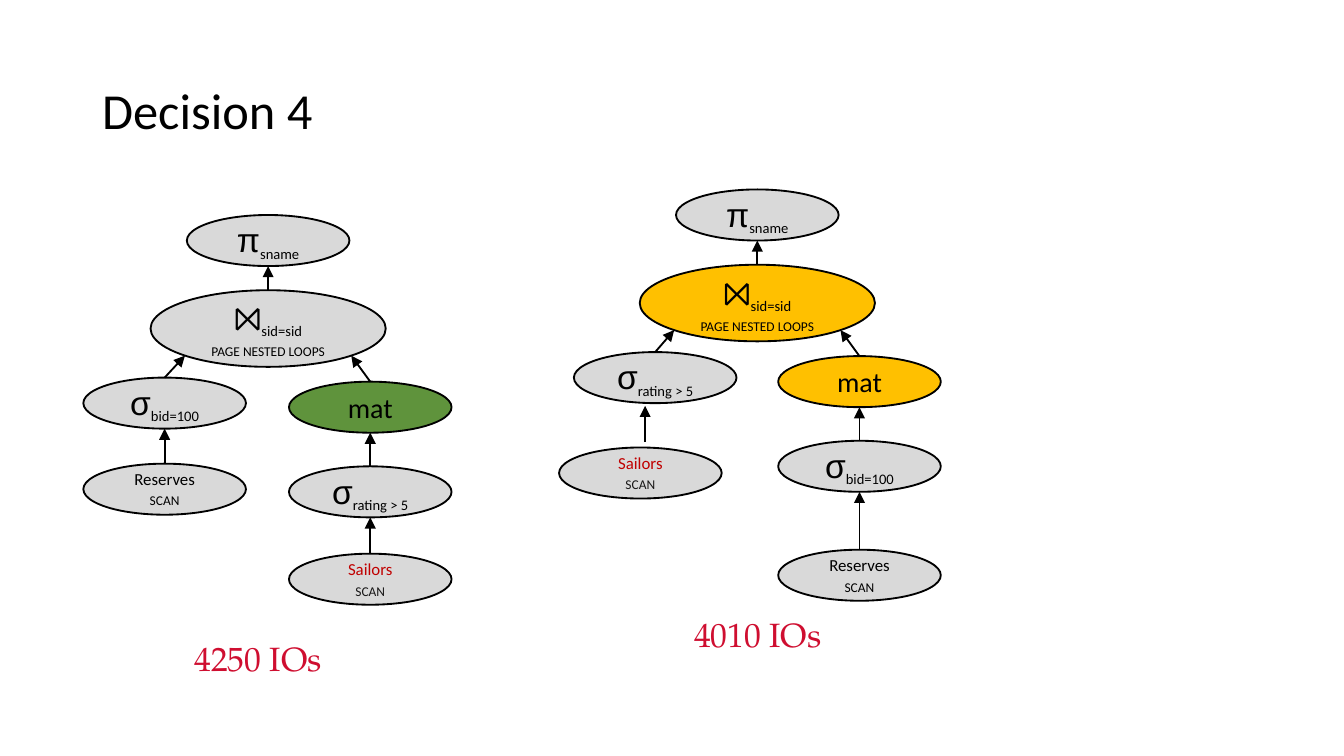
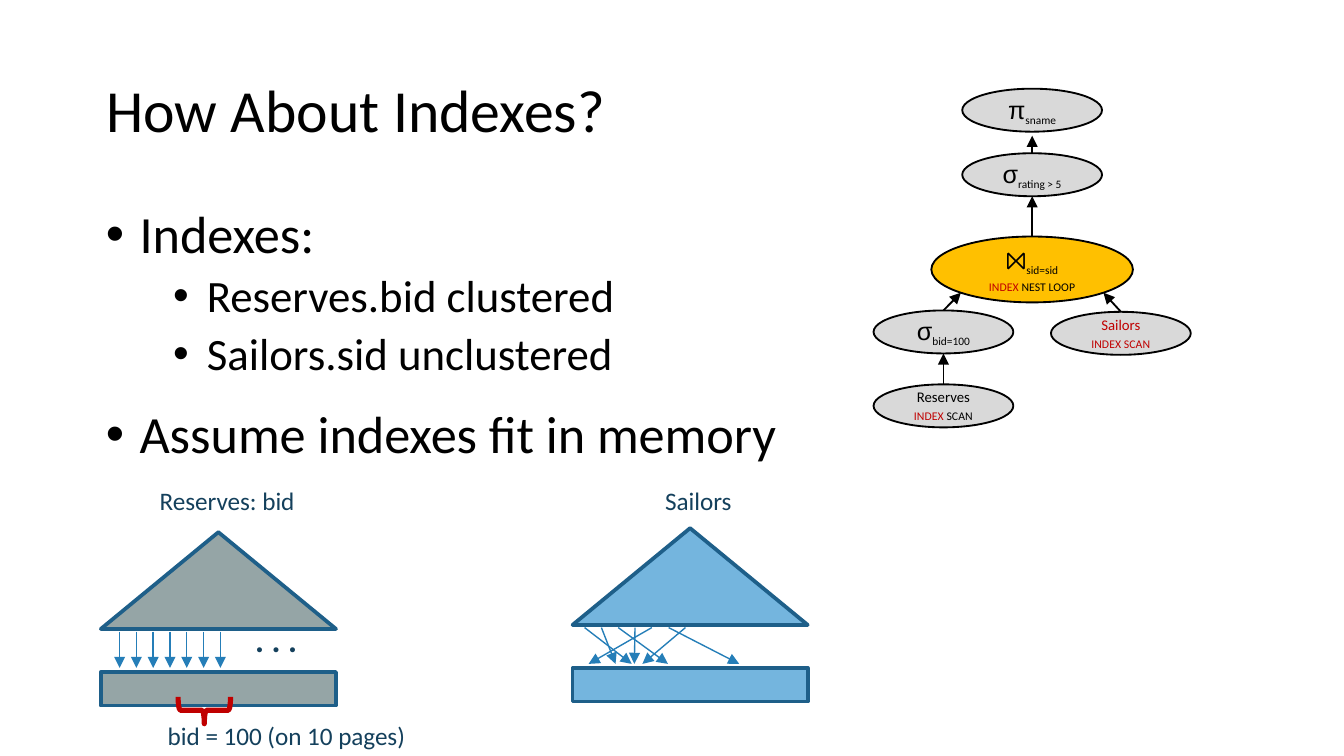
from dataclasses import dataclass

from lxml import etree
from pptx import Presentation
from pptx.dml.color import RGBColor
from pptx.enum.shapes import MSO_CONNECTOR, MSO_SHAPE
from pptx.enum.text import MSO_ANCHOR, MSO_AUTO_SIZE, PP_ALIGN
from pptx.oxml.ns import qn
from pptx.util import Inches, Pt

STRAIGHT = MSO_CONNECTOR.STRAIGHT
ELLIPSE = MSO_SHAPE.OVAL
TRIANGLE = MSO_SHAPE.ISOSCELES_TRIANGLE
RECTANGLE = MSO_SHAPE.RECTANGLE
LEFT_BRACE = MSO_SHAPE.LEFT_BRACE
TOP, MIDDLE = MSO_ANCHOR.TOP, MSO_ANCHOR.MIDDLE
LEFT, CENTER = PP_ALIGN.LEFT, PP_ALIGN.CENTER
NO_AUTOFIT = MSO_AUTO_SIZE.NONE

COLORS = {
    "black": "000000",
    "ink": "181717",
    "red": "C00000",
    "cost": "CF0E30",
    "gray": "D9D9D9",
    "green": "5F933C",
    "gold": "FFC000",
    "stone": "95A5A6",
    "sky": "74B5DE",
    "edge": "1E5F89",
    "pointer": "257EB8",
    "caption": "14405C",
}
BODY_FONT, SYMBOL_FONT, COST_FONT = "Calibri", "Arial", "TeX Gyre Pagella"
PAGE_WIDTH = 10
PAGE_HEIGHT = PAGE_WIDTH * 9 / 16
INSETS = (0.07, 0.04, 0.07, 0.04)
DIAGONAL = 0.5 ** 0.5


@dataclass
class Style:
    width: float
    height: float
    join_width: float
    join_height: float
    symbol: float
    subscript: float
    label: float


@dataclass
class Node:
    left: float
    top: float
    lines: list
    parent: str = ""
    fill: str = "gray"
    arrow: tuple = ()


LARGE = Style(1.21, 0.38, 1.75, 0.57, 18, 13.5, 9)
SMALL = Style(1.04, 0.32, 1.5, 0.49, 13.5, 10.5, 7.9)


def rgb(name):
    return RGBColor.from_string(COLORS[name])


def format_span(span, size, color="black", font=BODY_FONT, bold=False):
    span.font.size = Pt(size)
    span.font.name = font
    span.font.bold = bold
    span.font.color.rgb = rgb(color)


def set_insets(frame):
    sides = ("margin_left", "margin_top", "margin_right", "margin_bottom")
    for side, inset in zip(sides, INSETS):
        setattr(frame, side, Inches(inset))


def add_title(page, text, size):
    title = page.shapes.title
    title.left, title.top, title.width, title.height = map(Inches, (0.69, 0.3, 8.62, 1.09))
    frame = title.text_frame
    frame.text = text
    frame.auto_size = NO_AUTOFIT
    frame.word_wrap = True
    frame.vertical_anchor = MIDDLE
    para = frame.paragraphs[0]
    para.alignment = LEFT
    para.line_spacing = 0.9
    format_span(para.runs[0], size)
    return frame


def add_label(page, box, text, size, color="caption", font=BODY_FONT, bold=False,
              align=LEFT, anchor=TOP):
    frame = page.shapes.add_textbox(*map(Inches, box)).text_frame
    frame.word_wrap = False
    frame.vertical_anchor = anchor
    frame.text = text
    para = frame.paragraphs[0]
    para.alignment = align
    format_span(para.runs[0], size, color, font, bold)


def add_outline(page, kind, box, fill, line, weight):
    shape = page.shapes.add_shape(kind, *map(Inches, box))
    shape.shadow.inherit = False
    if fill:
        shape.fill.solid()
        shape.fill.fore_color.rgb = rgb(fill)
    else:
        shape.fill.background()
    shape.line.color.rgb = rgb(line)
    shape.line.width = Pt(weight)
    return shape


def add_arrow(page, start, end, color="black", weight=1):
    arrow = page.shapes.add_connector(STRAIGHT, *map(Inches, (*start, *end)))
    arrow.line.color.rgb = rgb(color)
    arrow.line.width = Pt(weight)
    etree.SubElement(arrow.line._get_or_add_ln(), qn("a:tailEnd"), type="triangle")
    etree.SubElement(arrow._element.spPr, qn("a:effectLst"))


def operator(symbol, subscript):
    return [[(symbol, "symbol", "black"), (subscript, "subscript", "black")]]


def scan(table, color, *method):
    return [[(table, "label", color)], [(text, "caps", shade) for text, shade in method]]


def join(*method):
    spans = operator("⨝", "sid=sid")[0] + [("\n", "break", "black")]
    return [spans + [(text, "caps", shade) for text, shade in method]]


def write_node(frame, lines, style):
    sizes = {"symbol": style.symbol, "subscript": style.subscript,
             "label": style.label, "caps": style.label, "mat": 15}
    set_insets(frame)
    frame.word_wrap = True
    frame.vertical_anchor = MIDDLE
    for index, line in enumerate(lines):
        para = frame.add_paragraph() if index else frame.paragraphs[0]
        para.alignment = CENTER
        for text, role, color in line:
            if role == "break":
                para.add_line_break()
                continue
            span = para.add_run()
            span.text = text
            format_span(span, sizes[role], color, SYMBOL_FONT if role == "symbol" else BODY_FONT)
            properties = span.font._element
            if role == "subscript":
                properties.set("baseline", "-25000")
            if role == "caps":
                properties.set("cap", "small")


def draw_plan(page, box, style, nodes):
    left, top = box
    frames = {}
    for name, node in nodes.items():
        size = (style.width, style.height)
        if name == "join":
            size = (style.join_width, style.join_height)
        frames[name] = (left + node.left, top + node.top, *size)
        shape = add_outline(page, ELLIPSE, frames[name], node.fill, "black", 1)
        write_node(shape.text_frame, node.lines, style)
    for name, node in nodes.items():
        if node.arrow:
            x, start, end = node.arrow
            add_arrow(page, (left + x, top + start), (left + x, top + end))
        elif node.parent:
            x, y, width, _ = frames[name]
            begin = (x + width / 2, y)
            add_arrow(page, begin, parent_point(begin[0], frames[node.parent]))


def parent_point(child_center, frame):
    x, y, width, height = frame
    center = x + width / 2
    offset = child_center - center
    if abs(offset) < 0.05:
        return child_center, y + height
    side = 1 if offset > 0 else -1
    return center + side * DIAGONAL * width / 2, y + height / 2 * (1 + DIAGONAL)


def draw_index(page, box, fill, caption, caption_box, targets):
    left, top = box
    x, y, width, height = caption_box
    add_outline(page, TRIANGLE, (left, top, 1.75, 0.72), fill, "edge", 2)
    add_outline(page, RECTANGLE, (left, top + 1.04, 1.75, 0.25), fill, "edge", 2)
    add_label(page, (left + x, top + y, width, height), caption, 13.5)
    for start, end in targets:
        add_arrow(page, (left + start, top + 0.74), (left + end, top + 1.01), "pointer", 0.75)


def draw_matching_pages(page, box):
    left, top = box
    brace = add_outline(page, LEFT_BRACE, (left + 0.27, top, 0.2, 0.39), None, "red", 2.75)
    brace.rotation = 270
    add_label(page, (left, top + 0.22, 2, 0.33), "bid = 100 (on 10 pages)", 13.5)


def draw_bullets(page, box, items):
    frame = page.shapes.add_textbox(*map(Inches, box)).text_frame
    frame.word_wrap = True
    for index, (text, level, size, before) in enumerate(items):
        para = frame.add_paragraph() if index else frame.paragraphs[0]
        para.text = text
        para.level = level
        properties = para._p.get_or_add_pPr()
        properties.set("marL", str(Inches(0.25 + 0.5 * level)))
        properties.set("indent", str(Inches(-0.25)))
        etree.SubElement(properties, qn("a:buFont"), typeface="Arial")
        etree.SubElement(properties, qn("a:buChar"), char="•")
        para.line_spacing = 0.9
        para.space_before = Pt(before)
        format_span(para.runs[0], size)


def add_cost(page, left, top, text):
    add_label(page, (left, top, 1.56, 0.38), text, 18, "cost", COST_FONT,
              align=CENTER, anchor=MIDDLE)


def build_decision(page):
    set_insets(add_title(page, "Decision 4", 27))
    project = operator("π", "sname")
    rating = operator("σ", "rating > 5")
    reserved = operator("σ", "bid=100")
    loops = join(("page nested loops", "black"))
    reserves = scan("Reserves", "black", ("scan", "black"))
    sailors = scan("Sailors", "red", ("scan", "ink"))
    mat = [[("mat", "mat", "black")]]

    draw_plan(page, (0.62, 1.6), LARGE, {
        "project": Node(0.77, 0, project),
        "join": Node(0.5, 0.56, loops, "project"),
        "reserved": Node(0, 1.21, reserved, "join"),
        "reserves": Node(0, 1.85, reserves, "reserved"),
        "mat": Node(1.53, 1.24, mat, "join", "green"),
        "rating": Node(1.53, 1.87, rating, "mat"),
        "sailors": Node(1.53, 2.52, sailors, "rating"),
    })
    add_cost(page, 1.14, 4.71, "4250 IOs")
    draw_plan(page, (4.16, 1.41), LARGE, {
        "project": Node(0.87, 0, project),
        "join": Node(0.6, 0.56, loops, "project", "gold"),
        "rating": Node(0.11, 1.21, rating, "join"),
        "sailors": Node(0, 1.92, sailors, arrow=(0.64, 1.88, 1.61)),
        "mat": Node(1.63, 1.24, mat, "join", "gold"),
        "reserved": Node(1.63, 1.87, reserved, "mat"),
        "reserves": Node(1.63, 2.68, reserves, "reserved"),
    })
    add_cost(page, 4.86, 4.53, "4010 IOs")


def build_indexes(page):
    add_title(page, "How About Indexes?", 32)
    draw_bullets(page, (0.69, 1.5, 8.62, 3.57), [
        ("Indexes:", 0, 28, 0),
        ("Reserves.bid clustered", 1, 24, 5),
        ("Sailors.sid unclustered", 1, 24, 5),
        ("Assume indexes fit in memory", 0, 28, 15),
    ])
    clustered = [0.14 + 0.125 * step for step in range(7)]
    unclustered = [0.09 + 0.125 * step for step in range(7)]
    draw_index(page, (0.75, 3.96), "stone", "Reserves: bid", (0.34, -0.4, 1.23, 0.33),
               zip(clustered, clustered))
    add_label(page, (1.8, 4.56, 0.52, 0.4), ". . .", 18, bold=True)
    draw_index(page, (4.26, 3.93), "sky", "Sailors", (0.59, -0.37, 0.71, 0.33),
               zip(unclustered, (0.44, 0.32, 0.71, 0.46, 0.12, 1.24, 0.52)))
    draw_matching_pages(page, (1.15, 5.09))
    draw_plan(page, (6.5, 0.66), SMALL, {
        "project": Node(0.66, 0, operator("π", "sname")),
        "rating": Node(0.66, 0.48, operator("σ", "rating > 5"), arrow=(1.18, 0.48, 0.35)),
        "join": Node(0.43, 1.1, join(("index ", "red"), ("nest loop", "black")),
                     "rating", "gold"),
        "reserved": Node(0, 1.65, operator("σ", "bid=100"), "join"),
        "reserves": Node(0, 2.2, scan("Reserves", "black", ("index ", "red"), ("scan", "black")),
                         "reserved"),
        "sailors": Node(1.32, 1.66, scan("Sailors", "red", ("index scan", "red")), "join"),
    })


def main():
    deck = Presentation()
    deck.slide_width, deck.slide_height = Inches(PAGE_WIDTH), Inches(PAGE_HEIGHT)
    title_only = deck.slide_layouts.get_by_name("Title Only")
    for build in (build_decision, build_indexes):
        build(deck.slides.add_slide(title_only))
    deck.save("out.pptx")


if __name__ == "__main__":
    main()
